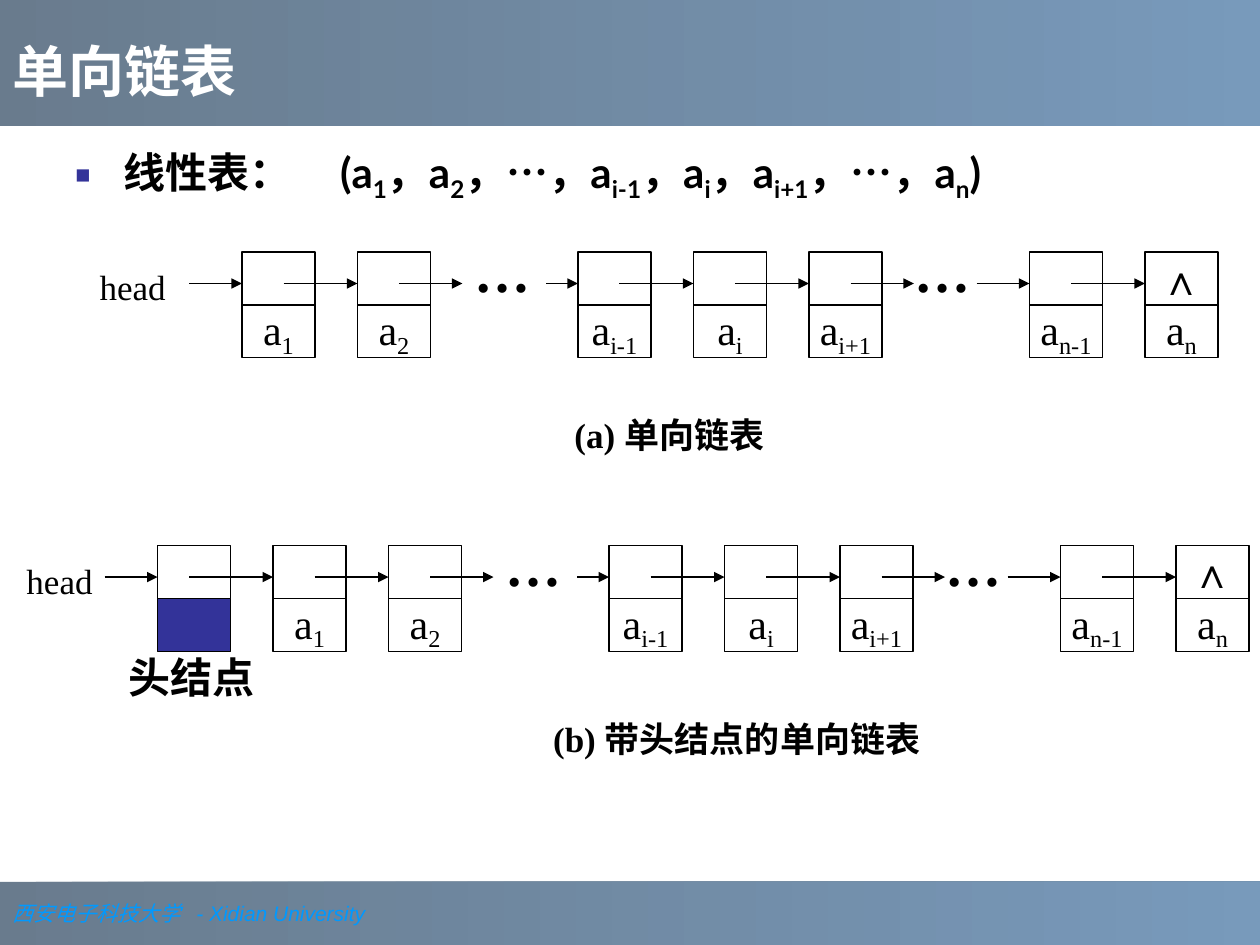
"""Build a slide that compares singly linked lists without and with a head node."""
from lxml.etree import SubElement
from pptx import Presentation
from pptx.dml.color import RGBColor
from pptx.enum.shapes import MSO_CONNECTOR as Connector, MSO_SHAPE as Shape
from pptx.enum.text import MSO_ANCHOR as Anchor, PP_ALIGN as Align
from pptx.oxml.ns import qn
from pptx.util import Inches, Pt

SERIF, SANS, HEADING = "Times New Roman", "Arial", "Lato"
BLACK, WHITE, NAVY, SKY = "000000", "FFFFFF", "333399", "0099FF"
BAND_COLORS = ("1C3853", "336699")
BANDS = [(7, 0.5), (0, 1)]

TITLE = "单向链表"
FOOTER = "西安电子科技大学\t|-  Xidian University".replace("-  ", "- ")
SEQUENCE = "线性表：\t(a|1|，a|2|，…，a|i-1|，a|i|，a|i+1|，…，a|n|)"
HEAD_NODE = "head node"
FIRST_DOTS = {"dots": 0.93, "lead": 0.25}
SECOND_DOTS = {"dots": 0.84, "lead": 0.42}
ITEMS = ["1", "2", FIRST_DOTS, "i-1", "i", "i+1", SECOND_DOTS, "n-1", "n"]
CHAINS = [
    {"left": 1.92, "top": 2, "head": 0.79, "items": ITEMS,
     "caption": "(a) 单向链表", "caption_at": (4.56, 3.28)},
    {"left": 1.25, "top": 4.33, "head": 0.21, "items": [HEAD_NODE] + ITEMS,
     "caption": "(b) 带头结点的单向链表", "caption_at": (4.39, 5.7)},
]

CELL_WIDTH, CELL_HEIGHT = 0.58, 0.42
NODE_STEP, DOTS_STEP = 11 / 12, 10 / 12
ARROW_DROP, ARROW_START, HEAD_ARROW = 0.25, 0.33, 0.42


def color(value):
    return RGBColor.from_string(value)


def write(box, text, size=24, font=SERIF, odd_font=None, ink=BLACK, bold=False,
          italic=False, drop=0, anchor=Anchor.TOP, align=Align.LEFT, wrap=True,
          inset=(0.1, 0.05), spacing=None, tab=None, bullet=None):
    frame = box.text_frame
    frame.word_wrap, frame.vertical_anchor = wrap, anchor
    frame.margin_left = frame.margin_right = Inches(inset[0])
    frame.margin_top = frame.margin_bottom = Inches(inset[1])
    para = frame.paragraphs[0]
    para.alignment = align
    if spacing:
        para.line_spacing = spacing
    props = para._p.get_or_add_pPr()
    if bullet:
        props.set("marL", str(Inches(0.38)))
        props.set("indent", str(Inches(-0.38)))
        tint = SubElement(props, qn("a:buClr"))
        SubElement(tint, qn("a:srgbClr"), val=NAVY)
        SubElement(props, qn("a:buSzPct"), val="60000")
        SubElement(props, qn("a:buFont"), typeface=SANS)
        SubElement(props, qn("a:buChar"), char=bullet)
    if tab:
        stops = SubElement(props, qn("a:tabLst"))
        SubElement(stops, qn("a:tab"), pos=str(Inches(tab)), algn="l")
    for index, piece in enumerate(text.split("|")):
        span = para.add_run()
        span.text = piece
        span.font.size, span.font.bold, span.font.italic = Pt(size), bold, italic
        span.font.name = odd_font if odd_font and index % 2 else font
        span.font.color.rgb = color(ink)
        if drop and index % 2:
            span._r.get_or_add_rPr().set("baseline", str(-1000 * drop))


def add_label(shapes, text, left, top, width, height, **style):
    box = shapes.add_textbox(Inches(left), Inches(top), Inches(width), Inches(height))
    write(box, text, **style)


def add_rectangle(shapes, left, top, width, height):
    box = shapes.add_shape(Shape.RECTANGLE, Inches(left), Inches(top),
                           Inches(width), Inches(height))
    box.shadow.inherit = False
    return box


def add_band(shapes, top, height):
    band = add_rectangle(shapes, 0, top, 10, height)
    band.line.fill.background()
    band.fill.gradient()
    band.fill.gradient_angle = 0
    for stop, position, tint in zip(band.fill.gradient_stops, (0, 1), BAND_COLORS):
        stop.position, stop.color.rgb = position, color(tint)
    for tint in band._element.spPr.iter(qn("a:srgbClr")):
        SubElement(tint, qn("a:alpha"), val="66000")
    return band


def add_cell(shapes, left, top, text="", fill=WHITE):
    cell = add_rectangle(shapes, left, top, CELL_WIDTH, CELL_HEIGHT)
    cell.fill.solid()
    cell.fill.fore_color.rgb = color(fill)
    cell.line.color.rgb, cell.line.width = color(BLACK), Pt(0.75)
    if text:
        write(cell, text, drop=20, anchor=Anchor.MIDDLE, align=Align.CENTER, wrap=False)


def add_arrow(shapes, start, end, height):
    arrow = shapes.add_connector(Connector.STRAIGHT, Inches(start), Inches(height),
                                 Inches(end), Inches(height))
    arrow.line.color.rgb, arrow.line.width = color(BLACK), Pt(0.75)
    SubElement(arrow.line._get_or_add_ln(), qn("a:tailEnd"), type="triangle")
    SubElement(arrow._element.spPr, qn("a:effectLst"))


def add_chain(shapes, chain):
    left, top, items = chain["left"], chain["top"], chain["items"]
    level = top + ARROW_DROP
    plain = {"size": 20, "anchor": Anchor.MIDDLE, "inset": (0, 0)}
    add_label(shapes, "head", chain["head"], top + 0.11, 0.62, 0.33, **plain)
    add_arrow(shapes, left - HEAD_ARROW, left, level)
    for item, following in zip(items, items[1:] + [None]):
        if isinstance(item, dict):
            add_label(shapes, "…", left - NODE_STEP + item["dots"], top - 0.12, 0.58, 0.53,
                      size=32, bold=True, inset=(0, 0))
            left += DOTS_STEP
            add_arrow(shapes, left - item["lead"], left, level)
            continue
        is_head = item == HEAD_NODE
        add_cell(shapes, left, top + CELL_HEIGHT, "" if is_head else f"a|{item}",
                 NAVY if is_head else WHITE)
        add_cell(shapes, left, top, "" if following else "∧")
        if is_head:
            add_label(shapes, "头结点", left - 0.33, top + 2 * CELL_HEIGHT, 1.33, 0.58,
                      bold=True, spacing=0.9)
        if following:
            reach = DOTS_STEP if isinstance(following, dict) else NODE_STEP
            start = ARROW_DROP if is_head else ARROW_START
            add_arrow(shapes, left + start, left + reach, level)
        left += NODE_STEP
    add_label(shapes, chain["caption"], *chain["caption_at"], 3.2, 0.33, bold=True, **plain)


def main():
    deck = Presentation()
    deck.slide_width, deck.slide_height = Inches(10), Inches(7.5)
    page = deck.slides.add_slide(deck.slide_layouts[6])
    footer, _ = [add_band(page.shapes, *band) for band in BANDS]
    write(footer, FOOTER, size=12, odd_font=SANS, ink=SKY, italic=True,
          anchor=Anchor.MIDDLE, tab=1.46)
    add_label(page.shapes, TITLE, 0, 0.2, 9.33, 0.67, size=32, font=HEADING,
              ink=WHITE, bold=True, anchor=Anchor.BOTTOM)
    add_label(page.shapes, SEQUENCE, 0.5, 1.11, 8.82, 0.86, font=HEADING, bold=True,
              drop=25, bullet="■", tab=2.1)
    for chain in CHAINS:
        add_chain(page.shapes.add_group_shape().shapes, chain)
    deck.save("out.pptx")


if __name__ == "__main__":
    main()
